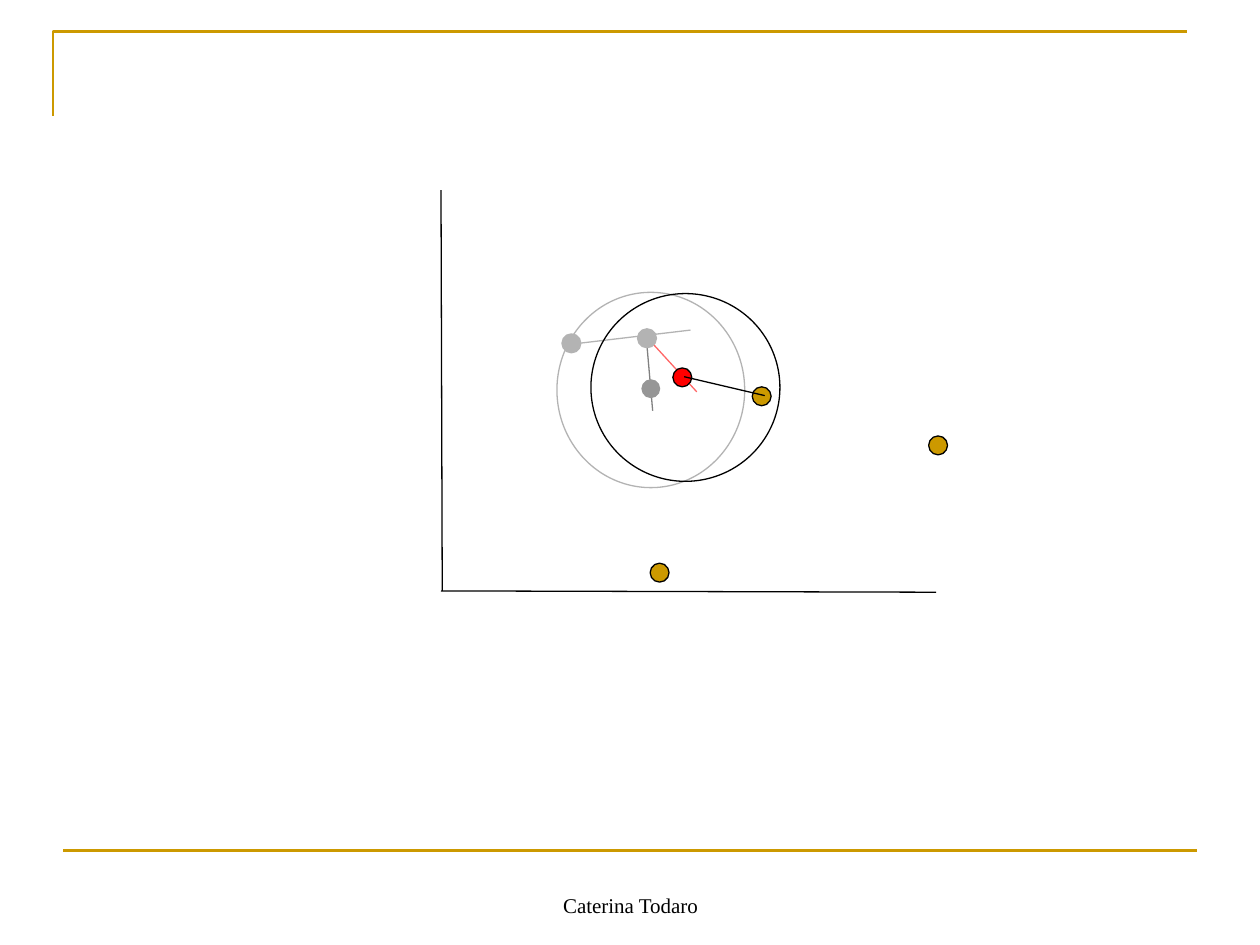
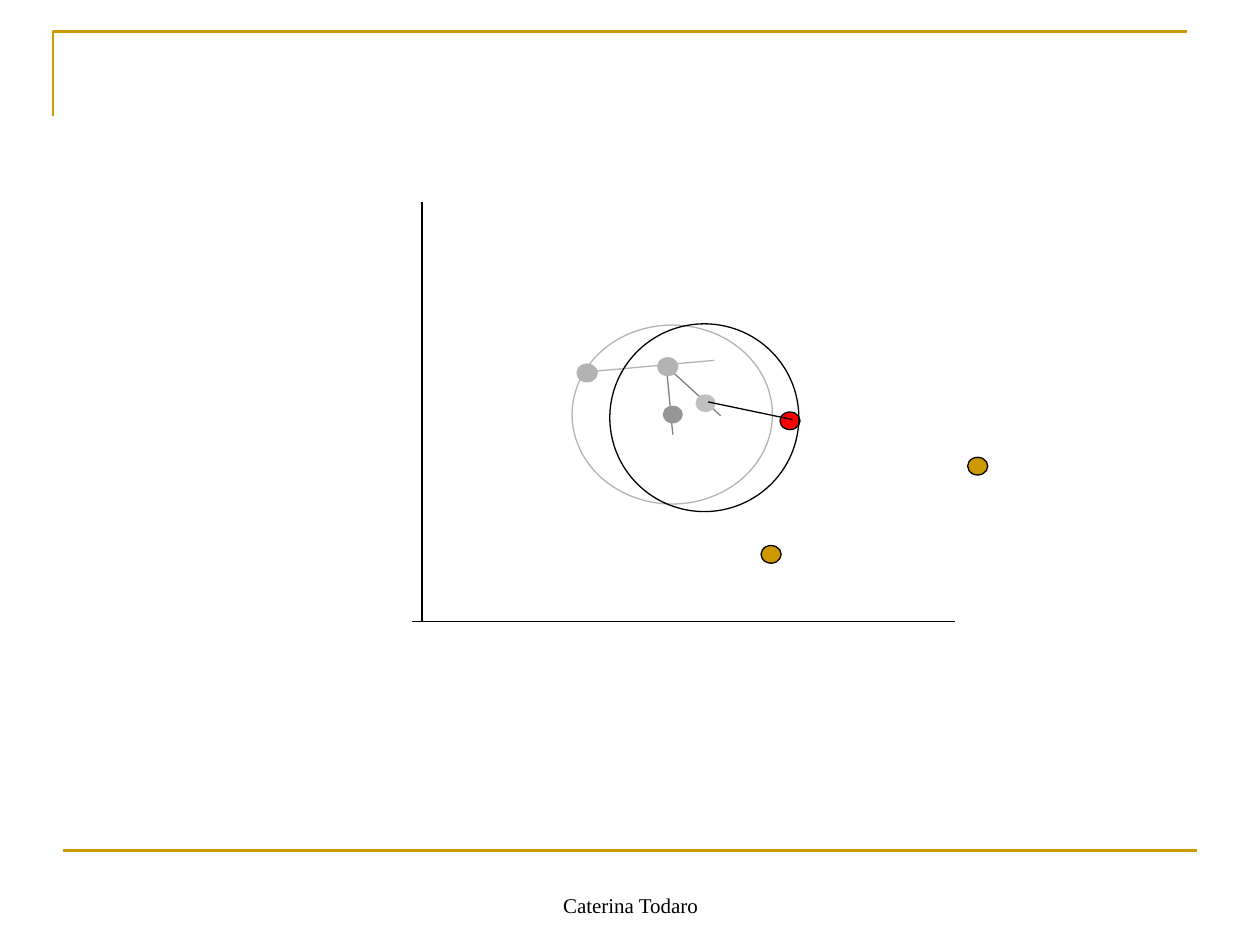
from dataclasses import dataclass

from lxml import etree
from pptx import Presentation
from pptx.dml.color import RGBColor
from pptx.enum import shapes, text
from pptx.oxml import ns
from pptx.util import Inches, Pt

GOLD = RGBColor(0xCC, 0x99, 0x00)
BLACK = RGBColor(0x00, 0x00, 0x00)
RED = RGBColor(0xFF, 0x00, 0x00)
PINK = RGBColor(0xFF, 0x66, 0x66)
LIGHT = RGBColor(0xB3, 0xB3, 0xB3)
SILVER = RGBColor(0xC0, 0xC0, 0xC0)
GREY = RGBColor(0x96, 0x96, 0x96)
DARK = RGBColor(0x80, 0x80, 0x80)

FONT = "Times New Roman"
OUTLINES = {GOLD: BLACK, RED: BLACK, LIGHT: LIGHT}
THIN, THICK = 0.75, 1.5


@dataclass
class Walk:
    """One step of the nearest-point walk, in inches from the plot's corner."""
    corner: tuple
    axes: list
    trails: list
    old_circle: tuple
    dot_size: tuple
    dots: list
    step: tuple
    circle: tuple


WALKS = [
    Walk(
        corner=(3.5, 1.5),
        axes=[(0, 0.01, 0.01, 3.19), (0, 3.19, 3.93, 3.2)],
        trails=[
            (LIGHT, (1.05, 1.23, 1.98, 1.12)),
            (DARK, (1.63, 1.19, 1.68, 1.76)),
            (PINK, (1.61, 1.15, 2.03, 1.61)),
        ],
        old_circle=(0.92, 0.82, 1.49, 1.55),
        dot_size=(0.15, 0.15),
        dots=[
            (LIGHT, 0.96, 1.15), (LIGHT, 1.56, 1.11), (GOLD, 2.47, 1.57),
            (GREY, 1.59, 1.51), (RED, 1.84, 1.42), (GOLD, 3.87, 1.96),
            (GOLD, 1.66, 2.97),
        ],
        step=(1.93, 1.49, 2.57, 1.64),
        circle=(1.19, 0.83, 1.5, 1.49),
    ),
    Walk(
        corner=(3.25, 1.6),
        axes=[(0.1, 0, 0.1, 3.33), (0.02, 3.33, 4.33, 3.33)],
        trails=[
            (LIGHT, (1.43, 1.35, 2.42, 1.26)),
            (DARK, (2.04, 1.32, 2.09, 1.85)),
            (DARK, (2.02, 1.29, 2.47, 1.7)),
        ],
        old_circle=(1.29, 0.98, 1.59, 1.42),
        dot_size=(0.16, 0.14),
        dots=[
            (LIGHT, 1.33, 1.29), (LIGHT, 1.97, 1.24), (RED, 2.94, 1.67),
            (GOLD, 2.79, 2.73), (GREY, 2.01, 1.62), (SILVER, 2.27, 1.53),
            (GOLD, 4.43, 2.03),
        ],
        step=(2.37, 1.59, 3.04, 1.73),
        circle=(1.59, 0.97, 1.5, 1.49),
    ),
]


def set_line(line, color, width):
    """Give a line its colour and width, or hide it if there is no colour."""
    if color is None:
        line.fill.background()
        return
    line.color.rgb = color
    line.width = Pt(width)


def add_line(s, corner, ends, color, width=THIN):
    """Draw a straight line between two points measured from the corner."""
    x, y = corner
    x1, y1, x2, y2 = ends
    c = s.shapes.add_connector(
        shapes.MSO_CONNECTOR.STRAIGHT,
        Inches(x + x1), Inches(y + y1), Inches(x + x2), Inches(y + y2))
    set_line(c.line, color, width)
    etree.SubElement(c._element.spPr, ns.qn("a:effectLst"))


def add_oval(s, corner, box, fill, outline):
    """Draw an ellipse in a box measured from the corner."""
    x, y = corner
    left, top, width, height = box
    sp = s.shapes.add_shape(
        shapes.MSO_SHAPE.OVAL,
        Inches(x + left), Inches(y + top), Inches(width), Inches(height))
    sp.shadow.inherit = False
    if fill is None:
        sp.fill.background()
    else:
        sp.fill.solid()
        sp.fill.fore_color.rgb = fill
    set_line(sp.line, outline, THIN)


def add_frame(s, left, top, width, height):
    """Draw the gold corner at the top and the gold rule at the foot."""
    fb = s.shapes.build_freeform(Inches(left), Inches(top + 0.67))
    fb.add_line_segments(
        [(Inches(left), Inches(top)), (Inches(left + width), Inches(top))],
        close=False)
    sp = fb.convert_to_shape()
    sp.shadow.inherit = False
    sp.fill.background()
    set_line(sp.line, GOLD, THICK)
    add_line(s, (left + 0.08, top + height), (0, 0, width, 0), GOLD, THICK)


def add_footer(s, left, top, width, height):
    """Write the author's name centred at the foot of its box."""
    box = s.shapes.add_textbox(
        Inches(left), Inches(top), Inches(width), Inches(height))
    tf = box.text_frame
    tf.word_wrap = True
    tf.vertical_anchor = text.MSO_ANCHOR.BOTTOM
    p = tf.paragraphs[0]
    p.alignment = text.PP_ALIGN.CENTER
    r = p.add_run()
    r.text = "Caterina Todaro"
    for name, value in {"name": FONT, "size": Pt(12)}.items():
        setattr(r.font, name, value)
    r.font.color.rgb = BLACK


def add_plot(s, walk):
    """Draw the axes, the past steps, the points and the current circle."""
    corner = walk.corner
    for axis in walk.axes:
        add_line(s, corner, axis, BLACK)
    for color, trail in walk.trails:
        add_line(s, corner, trail, color)
    add_oval(s, corner, walk.old_circle, None, LIGHT)
    for color, left, top in walk.dots:
        add_oval(s, corner, (left, top, *walk.dot_size), color,
                 OUTLINES.get(color))
    add_line(s, corner, walk.step, BLACK)
    add_oval(s, corner, walk.circle, None, BLACK)


def main():
    """Build one slide for each step of the walk."""
    prs = Presentation()
    prs.slide_width, prs.slide_height = Inches(10), Inches(7.5)
    for walk in WALKS:
        s = prs.slides.add_slide(prs.slide_layouts[6])
        add_frame(s, 0.42, 0.25, 9, 6.5)
        add_plot(s, walk)
        add_footer(s, 3.42, 6.83, 3.17, 0.5)
    prs.save("out.pptx")


if __name__ == "__main__":
    main()
